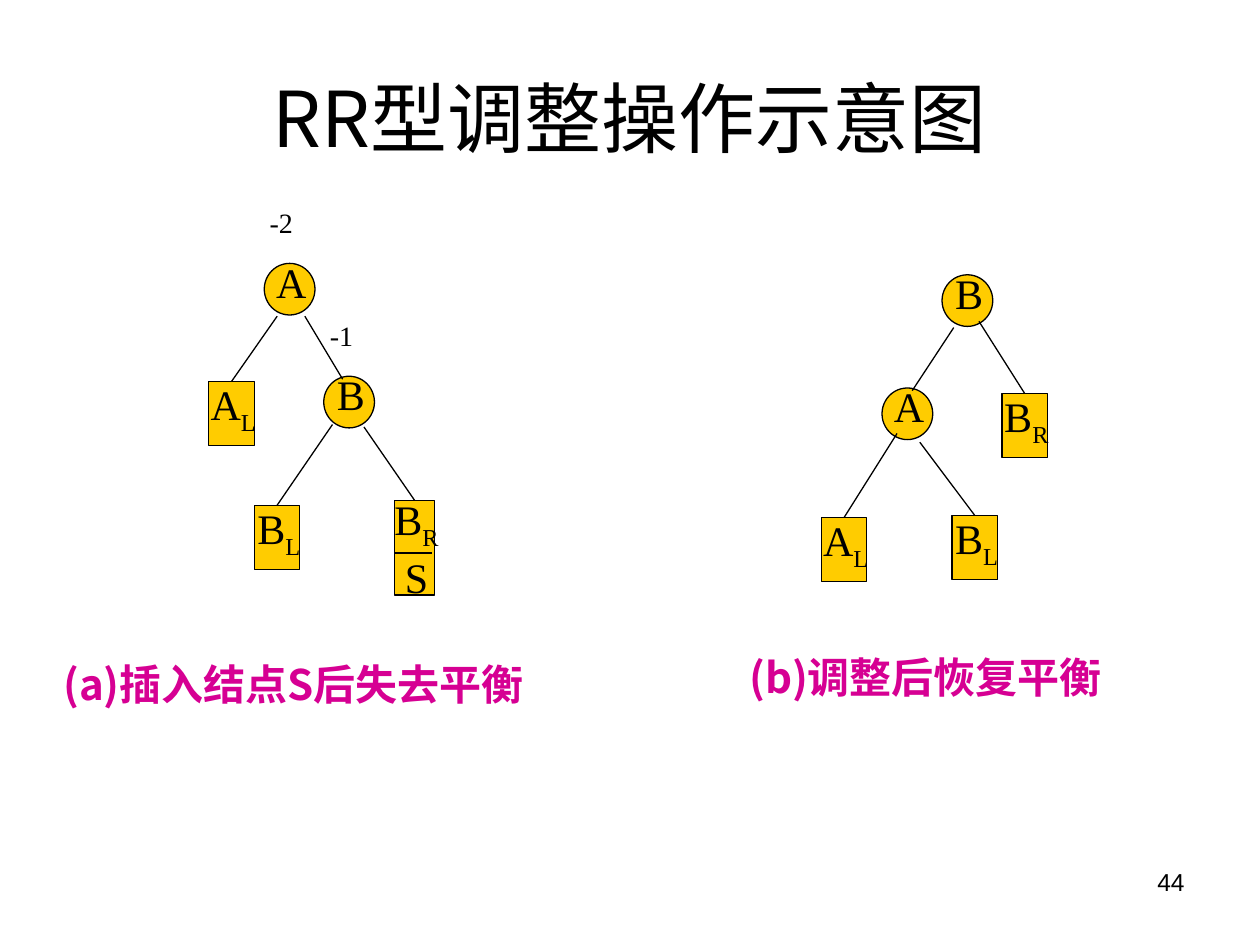
"""Build the slide on the RR rotation of a balanced binary tree."""
import pptx
import pptx.util
import pptx.dml.color
import pptx.enum.shapes
import pptx.enum.text
import pptx.oxml
import pptx.oxml.ns

Pt = pptx.util.Pt
ALIGN = pptx.enum.text.PP_ALIGN
ANCHOR = pptx.enum.text.MSO_ANCHOR
SHAPE = pptx.enum.shapes.MSO_SHAPE

THEME = {
    "ink": "000000", "node": "FFCC00", "caption": "D60093",
    "title_size": 44, "body_size": 24, "balance_size": 16, "page_size": 14,
    "title_font": "Noto Sans CJK JP", "caption_font": "Noto Sans CJK SC",
    "tree_font": "Times New Roman", "page_font": "Arial",
    "line": 0.75,
}

TITLE = "RR型调整操作示意图"
PAGE = "44"
CAPTIONS = [("(a)插入结点S后失去平衡", 29, 373, 325),
            ("(b)调整后恢复平衡", 421, 369, 218)]
BALANCES = [("-2", 147, 114), ("-1", 181.5, 178.5)]

# kind: preset, width, height, space kept under the text
KINDS = {"knot": (SHAPE.OVAL, 29, 29.5, 9),
         "subtree": (SHAPE.RECTANGLE, 26, 36.7, 7),
         "grown": (SHAPE.RECTANGLE, 23, 54, 0)}

# Each node: kind, rows of (letter, subscript), left, top.
# Each edge: start x, start y, then a node to join or an end point.
TREES = [
    {"nodes": {"A": ("knot", [("A", "")], 151, 150.5),
               "B": ("knot", [("B", "")], 185, 215),
               "AL": ("subtree", [("A", "L")], 119.3, 218),
               "BL": ("subtree", [("B", "L")], 145.3, 288.8),
               "BR": ("grown", [("B", "R"), ("S", "")], 225.5, 286)},
     "edges": [(158.4, 180.7, "AL"), (174.2, 180.7, (195.8, 216.7)),
               (190, 242.6, "BL"), (208, 244, "BR")]},
    {"nodes": {"B": ("knot", [("B", "")], 538.3, 157),
               "A": ("knot", [("A", "")], 504, 221.7),
               "BR": ("subtree", [("B", "R")], 572.5, 224.8),
               "AL": ("subtree", [("A", "L")], 469.3, 295.8),
               "BL": ("subtree", [("B", "L")], 544, 294.5)},
     "edges": [(545, 187.2, (521.3, 223.2)), (559.4, 183.6, "BR"),
               (512.6, 247.7, "AL"), (525.6, 252.7, "BL")]},
]
DIVIDER = (225.5, 316, 247, 316)


def color(name):
    return pptx.dml.color.RGBColor.from_string(THEME[name])


def add_run(paragraph, words, font, size, ink="ink", bold=False):
    run = paragraph.add_run()
    run.text = words
    run.font.name = THEME[font]
    run.font.size = Pt(THEME[size])
    run.font.bold = bold
    run.font.color.rgb = color(ink)
    properties = run._r.get_or_add_rPr()
    east_asian = pptx.oxml.parse_xml(
        f'<a:ea {pptx.oxml.ns.nsdecls("a")} typeface="{THEME[font]}"/>')
    properties.find(pptx.oxml.ns.qn("a:latin")).addnext(east_asian)
    return run


def add_label(slide, words, box, font, size, align=ALIGN.LEFT,
              anchor=ANCHOR.TOP, spacing=None, **look):
    frame = slide.shapes.add_textbox(*map(Pt, box)).text_frame
    frame.word_wrap = True
    frame.vertical_anchor = anchor
    paragraph = frame.paragraphs[0]
    paragraph.alignment = align
    if spacing:
        paragraph.line_spacing = Pt(spacing)
    add_run(paragraph, words, font, size, **look)


def add_node(slide, kind, rows, left, top):
    preset, width, height, under = KINDS[kind]
    node = slide.shapes.add_shape(preset, Pt(left), Pt(top), Pt(width), Pt(height))
    node.shadow.inherit = False
    node.fill.solid()
    node.fill.fore_color.rgb = color("node")
    node.line.color.rgb = color("ink")
    node.line.width = Pt(THEME["line"])
    frame = node.text_frame
    frame.word_wrap = False
    frame.vertical_anchor = ANCHOR.MIDDLE
    frame.margin_left = Pt(2)
    frame.margin_right = frame.margin_top = Pt(0)
    frame.margin_bottom = Pt(under)
    for index, (letter, subscript) in enumerate(rows):
        paragraph = frame.add_paragraph() if index else frame.paragraphs[0]
        paragraph.alignment = ALIGN.CENTER
        add_run(paragraph, letter, "tree_font", "body_size")
        if subscript:
            run = add_run(paragraph, subscript, "tree_font", "body_size")
            run._r.get_or_add_rPr().set("baseline", "-25000")
    return node


def add_line(slide, x1, y1, x2, y2):
    line = slide.shapes.add_connector(
        pptx.enum.shapes.MSO_CONNECTOR.STRAIGHT, *map(Pt, (x1, y1, x2, y2)))
    line.line.color.rgb = color("ink")
    line.line.width = Pt(THEME["line"])
    line._element.spPr.append(pptx.oxml.parse_xml(
        f'<a:effectLst {pptx.oxml.ns.nsdecls("a")}/>'))
    return line


def add_tree(slide, tree):
    nodes = {key: add_node(slide, *node) for key, node in tree["nodes"].items()}
    for x, y, target in tree["edges"]:
        if target in nodes:
            add_line(slide, x, y, x, y).end_connect(nodes[target], 0)
        else:
            add_line(slide, x, y, *target)


def main():
    deck = pptx.Presentation()
    deck.slide_width, deck.slide_height = Pt(720), Pt(540)
    slide = deck.slides.add_slide(deck.slide_layouts[6])
    add_label(slide, TITLE, (36, 21.6, 648, 90), "title_font", "title_size",
              ALIGN.CENTER, ANCHOR.MIDDLE)
    for tree in TREES:
        add_tree(slide, tree)
    add_line(slide, *DIVIDER)
    for balance, left, top in BALANCES:
        add_label(slide, balance, (left, top, 50, 30), "tree_font", "balance_size")
    for caption, left, top, width in CAPTIONS:
        add_label(slide, caption, (left, top, width, 36), "caption_font",
                  "body_size", spacing=28.8, ink="caption", bold=True)
    add_label(slide, PAGE, (516, 492, 168, 37.5), "page_font", "page_size",
              ALIGN.RIGHT)
    deck.save("out.pptx")


if __name__ == "__main__":
    main()
